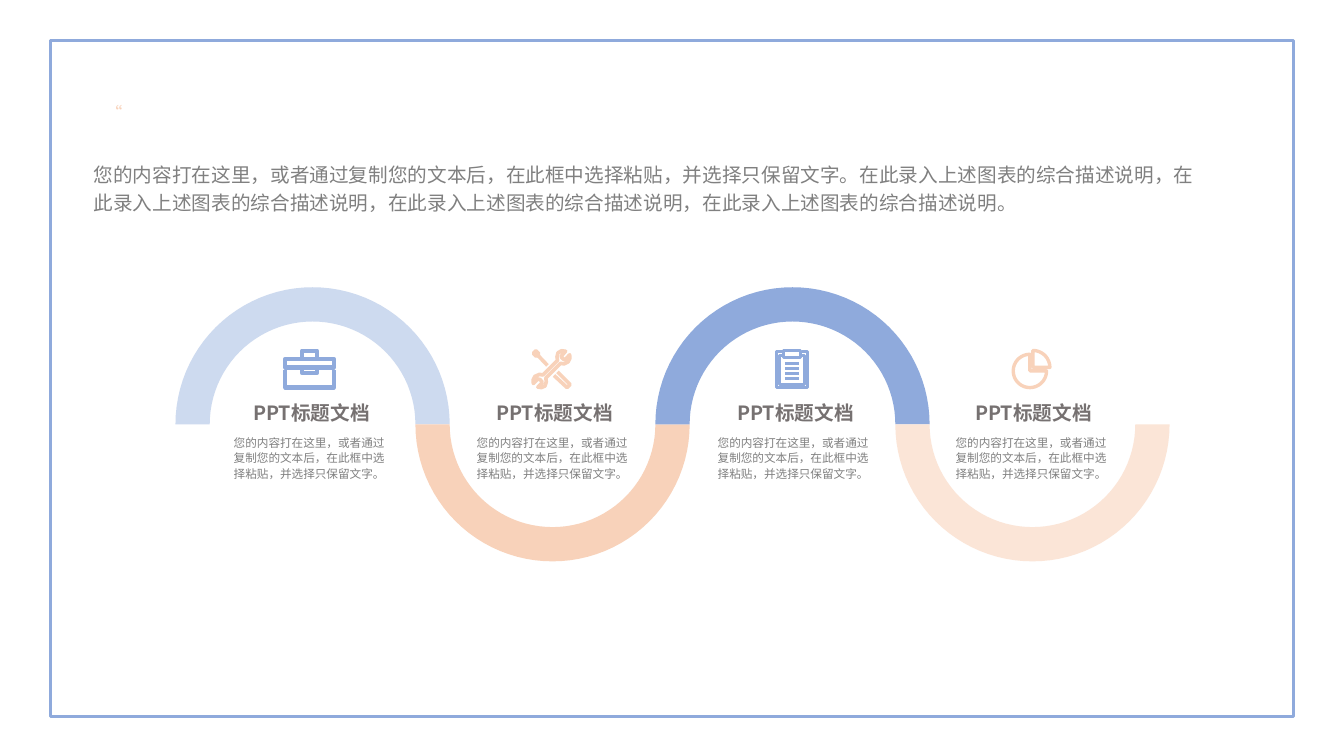
from math import cos, pi, sin

from lxml import etree
from pptx import Presentation
from pptx.dml.color import RGBColor
from pptx.enum.shapes import MSO_SHAPE
from pptx.enum.text import MSO_ANCHOR, PP_ALIGN
from pptx.oxml.ns import qn
from pptx.util import Inches, Pt

RECTANGLE = MSO_SHAPE.RECTANGLE
TOP, MIDDLE = MSO_ANCHOR.TOP, MSO_ANCHOR.MIDDLE
LEFT, CENTER = PP_ALIGN.LEFT, PP_ALIGN.CENTER
FONT = "Noto Sans CJK SC"
BLUE, PEACH, GREY, DARK = "8FAADC", "F8D2BA", "808080", "767171"
WIDTH, HEIGHT = 13.33, 7.5
WAVE = (1.74, 2.85, 2.38, 2.72)
BAND = 0.34
HEADING = "PPT标题文档"
DETAIL = "您的内容打在这里，或者通过复制您的文本后，在此框中选择粘贴，并选择只保留文字。"
SUMMARY = DETAIL + "，".join(["在此录入上述图表的综合描述说明"] * 4) + "。"


def color(value):
    """Turn a hex string into a colour."""
    return RGBColor.from_string(value)


def paint(shape, fill=None, line=None, weight=1):
    """Set the fill and the round-joined line of a shape."""
    shape.shadow.inherit = False
    if fill:
        shape.fill.solid()
        shape.fill.fore_color.rgb = color(fill)
    else:
        shape.fill.background()
    if line:
        shape.line.color.rgb = color(line)
        shape.line.width = Pt(weight)
        etree.SubElement(shape.line._get_or_add_ln(), qn("a:round"))
    else:
        shape.line.fill.background()


def add_text(page, box, text, size, ink=GREY, bold=False, align=LEFT,
             anchor=TOP, spacing=1.0, wrap=True):
    """Place one paragraph of text in a box."""
    frame = page.shapes.add_textbox(*map(Inches, box)).text_frame
    frame.word_wrap = wrap
    frame.vertical_anchor = anchor
    para = frame.paragraphs[0]
    para.alignment = align
    para.line_spacing = spacing
    span = para.add_run()
    span.text = text
    span.font.size = Pt(size)
    span.font.bold = bold
    span.font.name = FONT
    span.font.color.rgb = color(ink)
    etree.SubElement(span.font._element, qn("a:ea")).set("typeface", FONT)


def arc(center, radius, start, end, steps=48):
    """List points on an arc, with angles in degrees clockwise from the right."""
    angles = [(start + (end - start) * step / steps) * pi / 180
              for step in range(steps + 1)]
    return [(center[0] + radius * cos(angle), center[1] + radius * sin(angle))
            for angle in angles]


def add_outline(page, contours, **style):
    """Draw contours, each a pair of points and closed flag, as one shape."""
    builder = None
    for points, closed in contours:
        start, *rest = [(Inches(x), Inches(y)) for x, y in points]
        if builder is None:
            builder = page.shapes.build_freeform(*start, scale=1.0)
        else:
            builder.move_to(*start)
        builder.add_line_segments(rest, close=closed)
    paint(builder.convert_to_shape(), **style)


def rectangle(left, top, right, bottom):
    """Give a closed rectangular contour."""
    return [(left, top), (right, top), (right, bottom), (left, bottom)], True


def tray(left, right, ends, base):
    """Give an open contour with three sides."""
    return [(left, ends), (left, base), (right, base), (right, ends)], False


def briefcase():
    """Give the briefcase contours in hundredths of an inch."""
    return [rectangle(1, 9, 49, 17.5), tray(1, 49, 20.5, 37.5),
            tray(17.5, 32.5, 7, 1), tray(17.5, 32.5, 18, 23)]


def tools():
    """Give the screwdriver and wrench contours."""
    wrench = [(33, 1.5), (29, 1), (25.5, 3), (24.5, 7), (25, 10.5),
              (10.5, 25), (7, 24.5), (2.5, 26.5), (0.8, 30), (1, 33.5),
              (5.5, 29), (7.5, 29.5), (9.5, 31.5), (9.5, 33), (5.5, 37),
              (9, 37.5), (12.5, 36), (13.8, 32), (13.5, 28), (28, 13.5),
              (31.5, 14), (35.5, 12), (37.3, 8.5), (37, 5), (33, 9.5),
              (31, 9.5), (29, 7.5), (29, 6)]
    return [(wrench, True),
            ([(1, 3.5), (3.5, 1), (6.5, 4), (4, 6.5)], True),
            ([(5, 5), (15, 15.5)], False),
            ([(25, 22), (37.5, 34.5), (34.5, 37.5), (21.5, 25.5)], False)]


def clipboard():
    """Give the clipboard contours."""
    rows = [([(9.5, y), (23.5, y)], False) for y in (14, 18.8, 23.6, 28.4)]
    sheets = [([(inner, top), (side, top), (side, base), (33 - side, base),
                (33 - side, top), (33 - inner, top)], False)
              for inner, side, top, base in ((7, 0.8, 2, 37.5),
                                             (6.5, 4.2, 5.7, 34.7))]
    return [rectangle(8.3, 0.7, 24.7, 8), *sheets, *rows]


def pie():
    """Give the pie chart contours."""
    return [([(17.5, 21), *arc((17.5, 21), 16.5, 0, 270)], True),
            ([(20.5, 17.5), *arc((20.5, 17.5), 16.8, 270, 360)], True)]


def add_icon(page, origin, contours, ink, weight):
    """Draw icon contours at an origin."""
    placed = [([(origin[0] + x / 100, origin[1] + y / 100)
                for x, y in points], closed) for points, closed in contours]
    add_outline(page, placed, line=ink, weight=weight)


def add_half_ring(page, box, start, fill):
    """Draw half of a ring that fills a square box."""
    left, top, side = box
    center = (left + side / 2, top + side / 2)
    outer = arc(center, side / 2, start, start + 180)
    inner = arc(center, side / 2 - BAND, start + 180, start)
    add_outline(page, [(outer + inner, True)], fill=fill)


def add_step(page, box):
    """Write the heading and detail of one step."""
    left, top, width = box
    add_text(page, (left, top, width, 0.33), HEADING, 14, ink=DARK,
             bold=True, align=CENTER, wrap=False)
    add_text(page, (left, top + 0.33, width, 0.56), DETAIL, 8.3,
             anchor=MIDDLE, spacing=1.1)


def add_wave(page, box):
    """Draw the wave of four half rings with their steps."""
    left, top, pitch, side = box
    steps = [("CDDAEF", 2.22, 2.82, briefcase, BLUE, 3),
             (PEACH, 4.63, 5.28, tools, PEACH, 2.6),
             (BLUE, 7.02, 7.69, clipboard, BLUE, 2.1),
             ("FBE5D7", 9.38, 10.04, pie, PEACH, 2.4)]
    for index, (fill, text_left, icon_left, icon, ink, weight) in enumerate(steps):
        add_half_ring(page, (left + index * pitch, top, side),
                      0 if index % 2 else 180, fill)
        add_icon(page, (icon_left, top + 0.62), icon(), ink, weight)
        add_step(page, (text_left, top + 1.08, 1.74))


def add_frame(page, box):
    """Draw the border of the page."""
    border = page.shapes.add_shape(RECTANGLE, *map(Inches, box))
    paint(border, line=BLUE, weight=2.25)


def main():
    """Build and save the deck."""
    deck = Presentation()
    deck.slide_width, deck.slide_height = Inches(WIDTH), Inches(HEIGHT)
    page = deck.slides.add_slide(deck.slide_layouts[6])
    add_frame(page, (0.5, 0.4, WIDTH - 1, 6.71))
    add_text(page, (0.95, 0.99, 0.45, 0.25), "“", 12, ink=PEACH, anchor=MIDDLE)
    add_text(page, (0.83, 1.52, 11.29, 0.67), SUMMARY, 14, spacing=1.2)
    add_wave(page, WAVE)
    deck.save("out.pptx")


if __name__ == "__main__":
    main()
